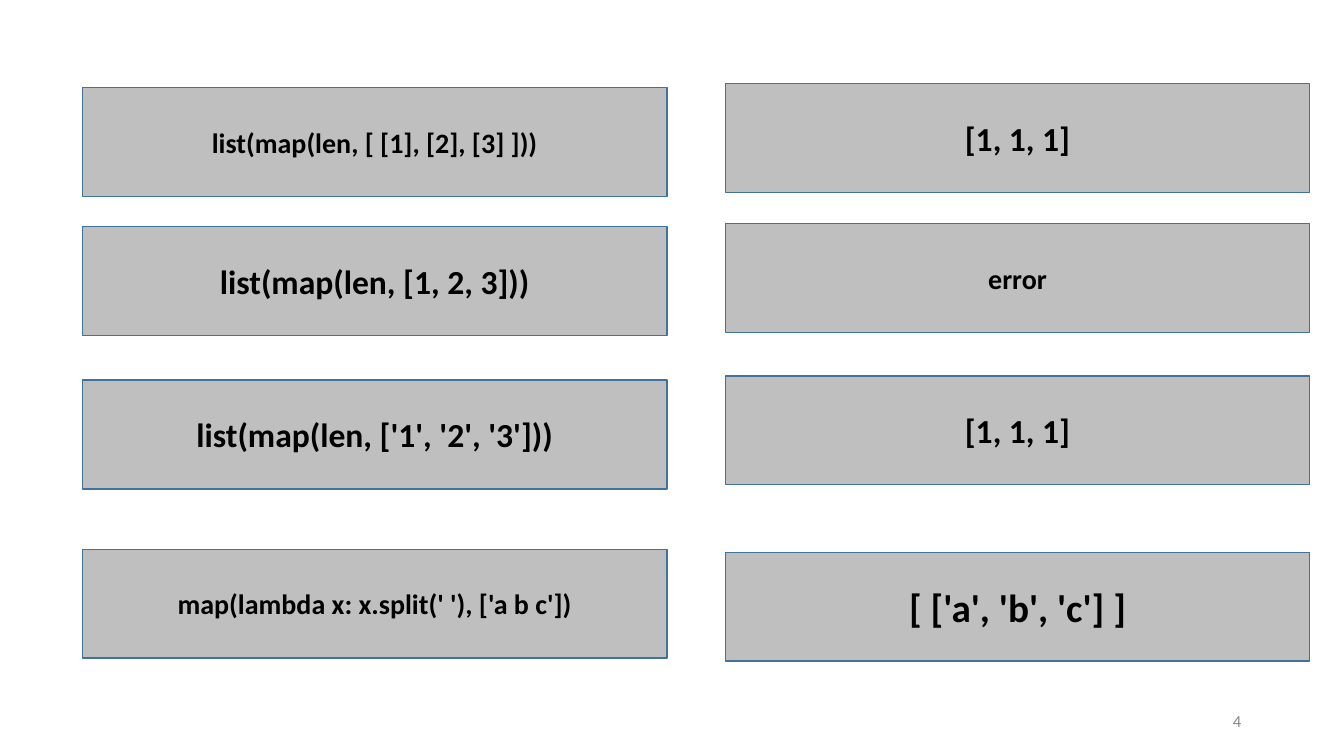
import pptx
import pptx.util
import pptx.dml.color
import pptx.enum.shapes
import pptx.enum.text

Inches, Pt = pptx.util.Inches, pptx.util.Pt
RGBColor = pptx.dml.color.RGBColor
PP_ALIGN = pptx.enum.text.PP_ALIGN

GREY = RGBColor(0xBF, 0xBF, 0xBF)
BLUE = RGBColor(0x41, 0x71, 0x9C)
BLACK = RGBColor(0, 0, 0)
NUMBER_GREY = RGBColor(0x89, 0x89, 0x89)

prs = pptx.Presentation()
prs.slide_width, prs.slide_height = Inches(13.34), Inches(7.5)
s = prs.slides.add_slide(prs.slide_layouts[6])


def set_text(sp, text, size, color, align, bold=False):
    tf = sp.text_frame
    tf.word_wrap = True
    tf.vertical_anchor = pptx.enum.text.MSO_ANCHOR.MIDDLE
    tf.text = text
    p = tf.paragraphs[0]
    p.alignment = align
    font = p.runs[0].font
    font.name, font.size, font.bold = "Calibri", Pt(size), bold
    font.color.rgb = color


# Slide number
sp = s.shapes.add_textbox(Inches(9.42), Inches(6.95), Inches(3), Inches(0.4))
set_text(sp, "4", 12, NUMBER_GREY, PP_ALIGN.RIGHT)

# Expressions on the left, results on the right: (top, text, size)
BOX_W, BOX_H = 5.8, 1.08
columns = [
    (0.82, [
        (0.87, "list(map(len, [ [1], [2], [3] ]))", 20),
        (2.25, "list(map(len, [1, 2, 3]))", 24),
        (3.77, "list(map(len, ['1', '2', '3']))", 24),
        (5.45, "map(lambda x: x.split(' '), ['a b c'])", 20),
    ]),
    (7.2, [
        (0.83, "[1, 1, 1]", 24),
        (2.22, "error", 20),
        (3.73, "[1, 1, 1]", 24),
        (5.48, "[ ['a', 'b', 'c'] ]", 28),
    ]),
]
for left, boxes in columns:
    for top, text, size in boxes:
        sp = s.shapes.add_shape(
            pptx.enum.shapes.MSO_SHAPE.RECTANGLE,
            Inches(left), Inches(top), Inches(BOX_W), Inches(BOX_H))
        sp.shadow.inherit = False
        sp.fill.solid()
        sp.fill.fore_color.rgb = GREY
        sp.line.color.rgb = BLUE
        sp.line.width = Pt(1)
        set_text(sp, text, size, BLACK, PP_ALIGN.CENTER, bold=True)

prs.save("out.pptx")
